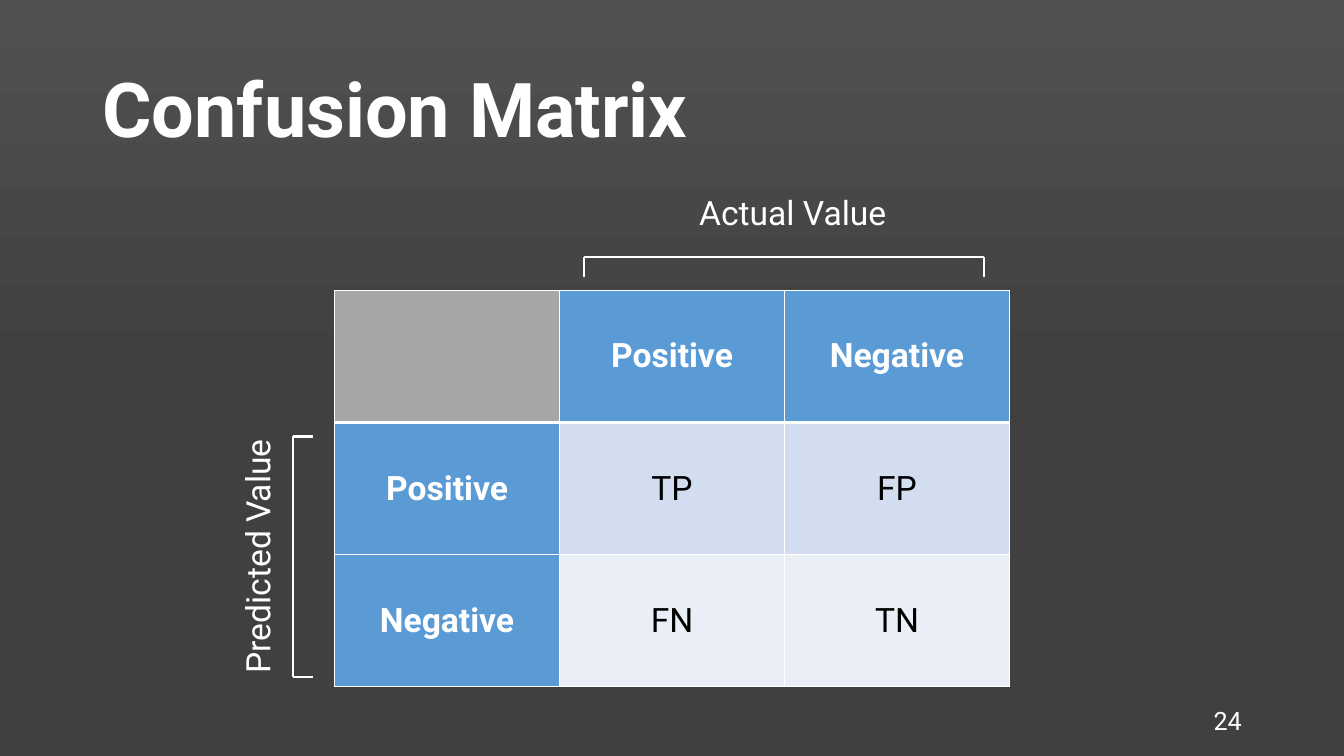
from copy import deepcopy

from lxml import etree
from pptx import Presentation
from pptx.dml.color import RGBColor
from pptx.enum import shapes, text
from pptx.oxml import ns
from pptx.util import Pt

THEME = {
    "font": "Roboto", "title": 54, "label": 24, "number": 18,
    "white": "FFFFFF", "black": "000000", "corner": "A6A6A6", "header": "5B9BD5",
    "bands": ["D2DEEF", "EAEFF7"], "top": "515151", "base": "404040",
}


def write(frame, content, size=THEME["label"], color=THEME["white"], bold=False,
          align=text.PP_ALIGN.CENTER, anchor=text.MSO_ANCHOR.MIDDLE, spacing=1.0):
    frame.word_wrap = True
    frame.vertical_anchor = anchor
    paragraph = frame.paragraphs[0]
    paragraph.alignment = align
    paragraph.line_spacing = spacing
    run = paragraph.add_run()
    run.text = content
    run.font.name = THEME["font"]
    run.font.size = Pt(size)
    run.font.bold = bold
    run.font.color.rgb = RGBColor.from_string(color)


def set_borders(cell, widths):
    properties = cell._tc.get_or_add_tcPr()
    for index, (side, width) in enumerate(widths.items()):
        line = etree.Element(ns.qn(f"a:ln{side}"), w=str(Pt(width)))
        fill = etree.SubElement(line, ns.qn("a:solidFill"))
        etree.SubElement(fill, ns.qn("a:srgbClr"), val=THEME["white"])
        properties.insert(index, line)


presentation = Presentation()
presentation.slide_width, presentation.slide_height = Pt(960), Pt(540)
slide = presentation.slides.add_slide(presentation.slide_layouts[5])

# Background: fades from the top to the middle, then stays even
background = slide.background.fill
background.gradient()
background.gradient_angle = 270
stop_list = slide.element.find(".//" + ns.qn("a:gsLst"))
stop_list.append(deepcopy(stop_list[-1]))
stops = [(0, THEME["top"]), (0.5, THEME["base"]), (1, THEME["base"])]
for stop, (position, color) in zip(background.gradient_stops, stops):
    stop.position = position
    stop.color.rgb = RGBColor.from_string(color)

# Title
title = slide.shapes.title
title.left, title.top, title.width, title.height = Pt(66), Pt(28.8), Pt(687.6), Pt(104.4)
title.text_frame.auto_size = text.MSO_AUTO_SIZE.NONE
write(title.text_frame, "Confusion Matrix", size=THEME["title"], bold=True,
      align=text.PP_ALIGN.LEFT, spacing=0.9)

# Confusion matrix
rows = [["", "Positive", "Negative"], ["Positive", "TP", "FP"], ["Negative", "FN", "TN"]]
table = slide.shapes.add_table(3, 3, Pt(239), Pt(207.4), Pt(482.1), Pt(283.2)).table
for column in table.columns:
    column.width = Pt(160.7)
for row in table.rows:
    row.height = Pt(94.4)
for i, row in enumerate(rows):
    for j, content in enumerate(row):
        cell = table.cell(i, j)
        is_header = i == 0 or j == 0
        color = THEME["header"] if is_header else THEME["bands"][i - 1]
        cell.fill.solid()
        cell.fill.fore_color.rgb = RGBColor.from_string(color if content else THEME["corner"])
        set_borders(cell, {"L": 1, "R": 1, "T": 3 if i == 1 else 1, "B": 3 if i == 0 else 1})
        if content:
            write(cell.text_frame, content, bold=is_header,
                  color=THEME["white"] if is_header else THEME["black"])
            cell.vertical_anchor = text.MSO_ANCHOR.MIDDLE

# Axis labels and slide number
labels = [
    ("Actual Value", 486.7, 133.2, 159.1, 36, 0, {"anchor": text.MSO_ANCHOR.TOP}),
    ("Predicted Value", 84.2, 379.4, 198.7, 36, 270, {"anchor": text.MSO_ANCHOR.TOP}),
    ("24", 678.2, 500.4, 216, 28.8, 0,
     {"size": THEME["number"], "align": text.PP_ALIGN.RIGHT}),
]
for content, left, top, width, height, rotation, style in labels:
    box = slide.shapes.add_textbox(Pt(left), Pt(top), Pt(width), Pt(height))
    box.rotation = rotation
    write(box.text_frame, content, **style)

# Brackets: each a spine with two ticks towards the table
actual_bracket = [(416.9, 197.6), (416.9, 183.6), (702.7, 183.6), (702.7, 197.6)]
predicted_bracket = [(223.9, 311.8), (209.5, 311.8), (209.5, 483.5), (223.9, 483.5)]
for points in (actual_bracket, predicted_bracket):
    for start, end in zip(points, points[1:]):
        line = slide.shapes.add_connector(
            shapes.MSO_CONNECTOR.STRAIGHT, *[Pt(value) for value in start + end])
        line.line.color.rgb = RGBColor.from_string(THEME["white"])
        line.line.width = Pt(1.5)
        etree.SubElement(line._element.spPr, ns.qn("a:effectLst"))

presentation.save("out.pptx")
